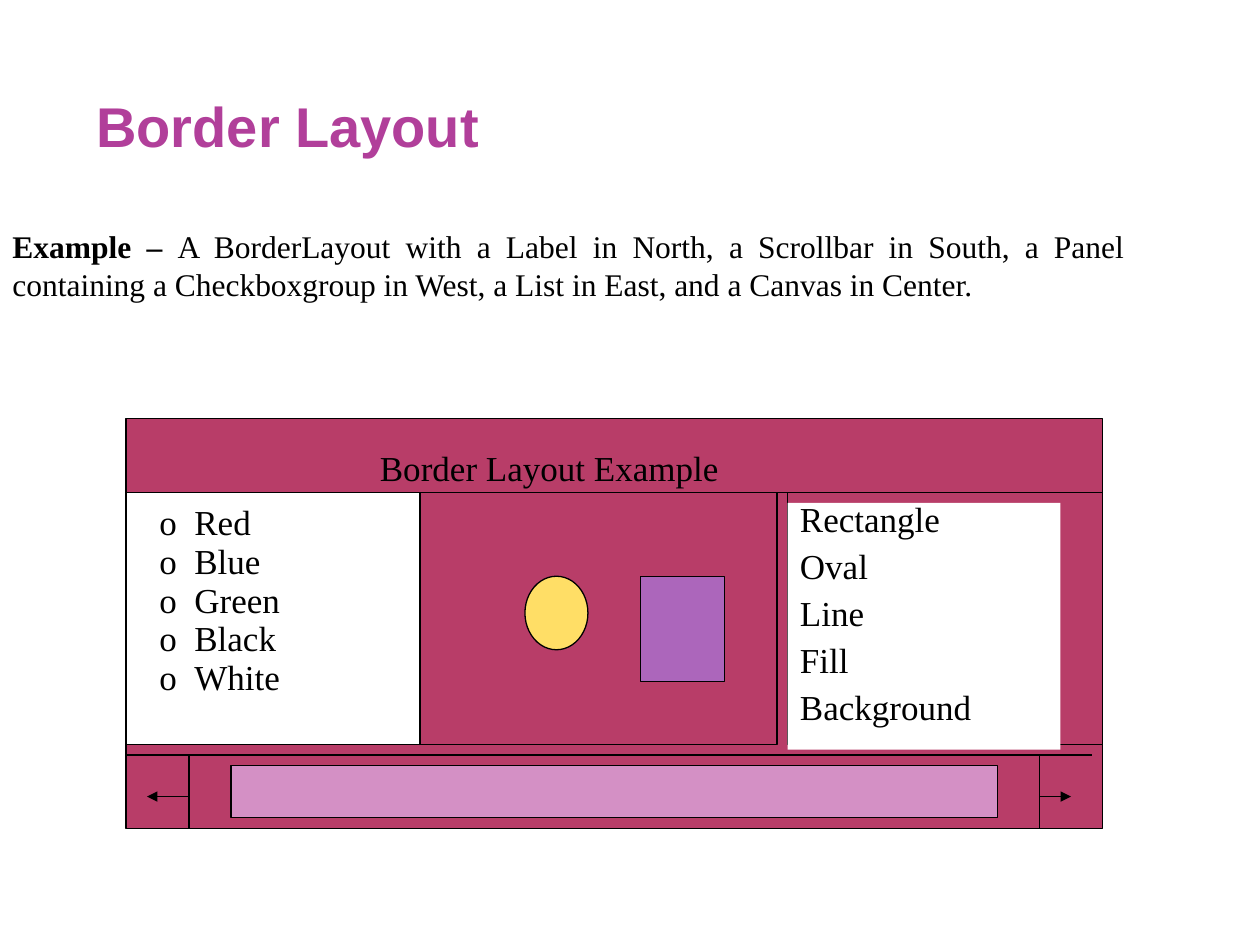
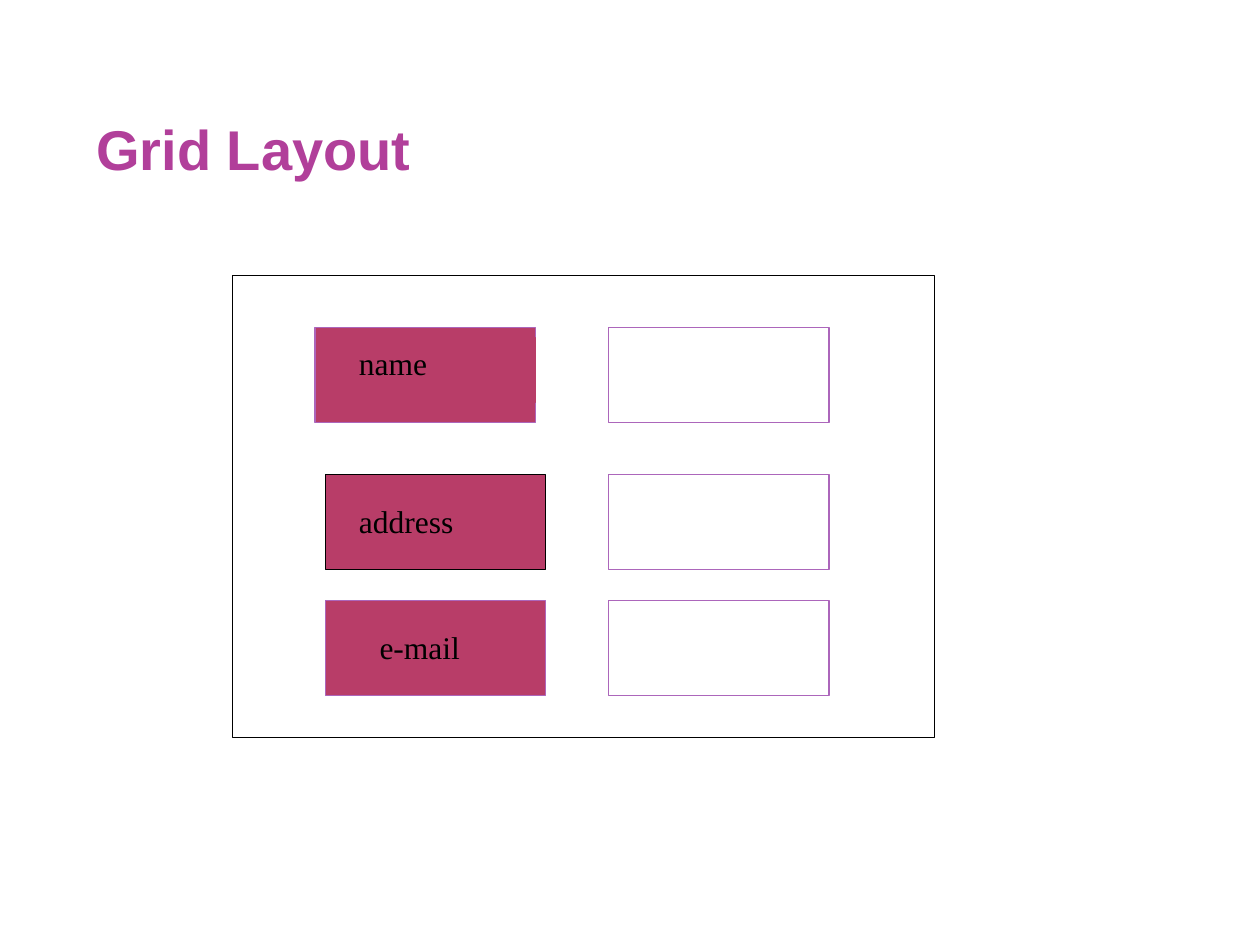
"""Build two slides that sketch the Border and Grid layouts."""
from lxml import etree
from pptx import Presentation
from pptx.dml.color import RGBColor
from pptx.enum.shapes import MSO_CONNECTOR, MSO_SHAPE
from pptx.enum.text import MSO_ANCHOR, PP_ALIGN
from pptx.oxml.ns import qn
from pptx.util import Pt

RECT, OVAL = MSO_SHAPE.RECTANGLE, MSO_SHAPE.OVAL
LINE = MSO_CONNECTOR.STRAIGHT
TOP = MSO_ANCHOR.TOP
LEFT, JUST = PP_ALIGN.LEFT, PP_ALIGN.JUSTIFY

HUES = {"title": "B13F9A", "ink": "000000", "paper": "FFFFFF", "rose": "B83D68",
        "plum": "AC66BB", "gold": "FFDE66", "pink": "D490C5"}
HEAD = {"name": "Arial", "size": Pt(32), "bold": True}
BODY = {"name": "Times New Roman", "size": Pt(18), "bold": False}
BOLD = {**BODY, "bold": True}
LARGE = {**BODY, "size": Pt(20)}


def hue(name):
    """Return the named colour."""
    return RGBColor.from_string(HUES[name])


def put(item, values):
    """Set each attribute of the item from the dict."""
    for key, value in values.items():
        setattr(item, key, value)


def place(box, x, y, w, h):
    """Return a box set off from the corner of another box."""
    return box[0] + x, box[1] + y, w, h


def shape(shapes, box, fill, line="ink", kind=RECT):
    """Add a preset shape with a flat fill and a thin line."""
    item = shapes.add_shape(kind, *map(Pt, box))
    item.shadow.inherit = False
    item.fill.solid()
    item.fill.fore_color.rgb = hue(fill)
    if line:
        item.line.width = Pt(0.75)
        item.line.color.rgb = hue(line)
    else:
        item.line.fill.background()
    return item


def rule(shapes, box, start, end, arrow=False):
    """Add a thin line between two points of the box."""
    ends = [Pt(box[i] + point[i]) for point in (start, end) for i in (0, 1)]
    item = shapes.add_connector(LINE, *ends)
    item.line.width = Pt(0.75)
    item.line.color.rgb = hue("ink")
    etree.SubElement(item._element.spPr, qn("a:effectLst"))
    if arrow:
        etree.SubElement(item.line._get_or_add_ln(), qn("a:tailEnd"), type="triangle")


def write(item, paras, font=BODY, color="ink", **form):
    """Fill the item with paragraphs, each a list of text and font pairs or a string."""
    frame = item.text_frame
    put(frame, {"word_wrap": True, "vertical_anchor": TOP})
    for i, parts in enumerate(paras):
        para = frame.add_paragraph() if i else frame.paragraphs[0]
        put(para, {"alignment": LEFT, **form})
        for words, face in [(parts, font)] if isinstance(parts, str) else parts:
            run = para.add_run()
            run.text = words
            put(run.font, face)
            run.font.color.rgb = hue(color)
    return frame


def text(shapes, box, paras, **form):
    """Add a text box with paragraphs."""
    return write(shapes.add_textbox(*map(Pt, box)), paras, **form)


def hang(frame, gap):
    """Give each paragraph a hanging indent."""
    for para in frame.paragraphs:
        props = para._p.get_or_add_pPr()
        props.set("marL", str(Pt(gap)))
        props.set("indent", str(-Pt(gap)))


def title(shapes, top, words):
    """Add the slide title."""
    text(shapes, (48, top, 600, 50.4), [words], font=HEAD, color="title")


def north(shapes, box):
    """Draw the label band."""
    rule(shapes, box, (0, box[3]), (box[2], box[3]))
    text(shapes, place(box, 138, 12.4, 342, 31), ["Border Layout Example"], font=LARGE)


def south(shapes, box):
    """Draw the scrollbar with its arrows."""
    _, _, w, h = box
    rule(shapes, box, (0, 0), (w - 6, 0))
    for x, tip in ((36, 12), (w - 36, w - 18)):
        rule(shapes, box, (x, 0), (x, h))
        rule(shapes, box, (x, 23.8), (tip, 23.8), arrow=True)
    shape(shapes, place(box, 60, 5.9, w - 120, 30), "pink")


def west(shapes, box):
    """Draw the panel of choices."""
    shape(shapes, box, "paper")
    names = ["Red", "Blue", "Green", "Black", "White"]
    hang(text(shapes, place(box, 12, 11.5, 144, 118), [f"o\t{name}" for name in names],
              font=LARGE, line_spacing=0.5, space_before=Pt(10)), 20)


def center(shapes, box):
    """Draw the canvas with its two figures."""
    shape(shapes, box, "rose")
    shape(shapes, place(box, 60, 47.7, 36, 42), "gold", kind=OVAL)
    shape(shapes, place(box, 126, 47.7, 48, 60), "plum")


def east(shapes, box):
    """Draw the list."""
    shape(shapes, box, "rose")
    names = ["Rectangle", "Oval", "Line", "Fill", "Background"]
    write(shape(shapes, place(box, 0, 5.8, 156, 141), "paper", None), names,
          font=LARGE, line_spacing=0.7, space_before=Pt(10))


def border(shapes, box):
    """Draw the window with its five regions."""
    w, h = box[2:]
    band, mid, foot = 42.3, 144, 41.9
    shape(shapes, box, "rose")
    north(shapes, place(box, 0, 0, w, band))
    west(shapes, place(box, 0, band, 168, mid))
    center(shapes, place(box, 168, band, 204, mid))
    east(shapes, place(box, w - 180, band, 180, mid))
    south(shapes, place(box, 0, h - foot, w, foot))


def label(shapes, box, word, line, inner, plain):
    """Draw a form label as a group of plate and text."""
    group = shapes.add_group_shape().shapes
    shape(group, box, "rose", line)
    spot = place(box, *inner)
    if plain:
        text(group, spot, [word])
    else:
        write(shape(group, spot, "rose", "rose"), [word])


def grid(shapes, box):
    """Draw the form with its labels and fields."""
    shape(shapes, box, "paper")
    rows = [("name", 47, 30, "plum", (18, 5.8, 108, 36.7), False),
            ("address", 52.8, 114, "ink", (12.2, 11.8, 96, 36.7), False),
            ("e-mail", 52.8, 186, "plum", (24, 11.9, 90, 36), True)]
    for word, x, y, line, inner, plain in rows:
        shape(shapes, place(box, 214.8, y, 126, 54), "paper", "plum")
        label(shapes, place(box, x, y, 126, 54), word, line, inner, plain)


def main():
    """Build and save the deck."""
    deck = Presentation()
    put(deck, {"slide_width": Pt(720), "slide_height": Pt(540)})
    first, second = (deck.slides.add_slide(deck.slide_layouts[6]).shapes for _ in range(2))
    title(first, 49, "Border Layout")
    text(first, (0, 126, 650, 87), [[
        ("Example – ", BOLD),
        ("A BorderLayout with a Label in North, a Scrollbar in South, a Panel containing "
         "a Checkboxgroup in West, a List in East, and a Canvas in Center.", BODY)]],
        alignment=JUST)
    border(first, (72, 239.3, 558, 234))
    title(second, 62, "Grid Layout")
    grid(second, (133, 157.3, 401, 264))
    deck.save("out.pptx")


if __name__ == "__main__":
    main()
